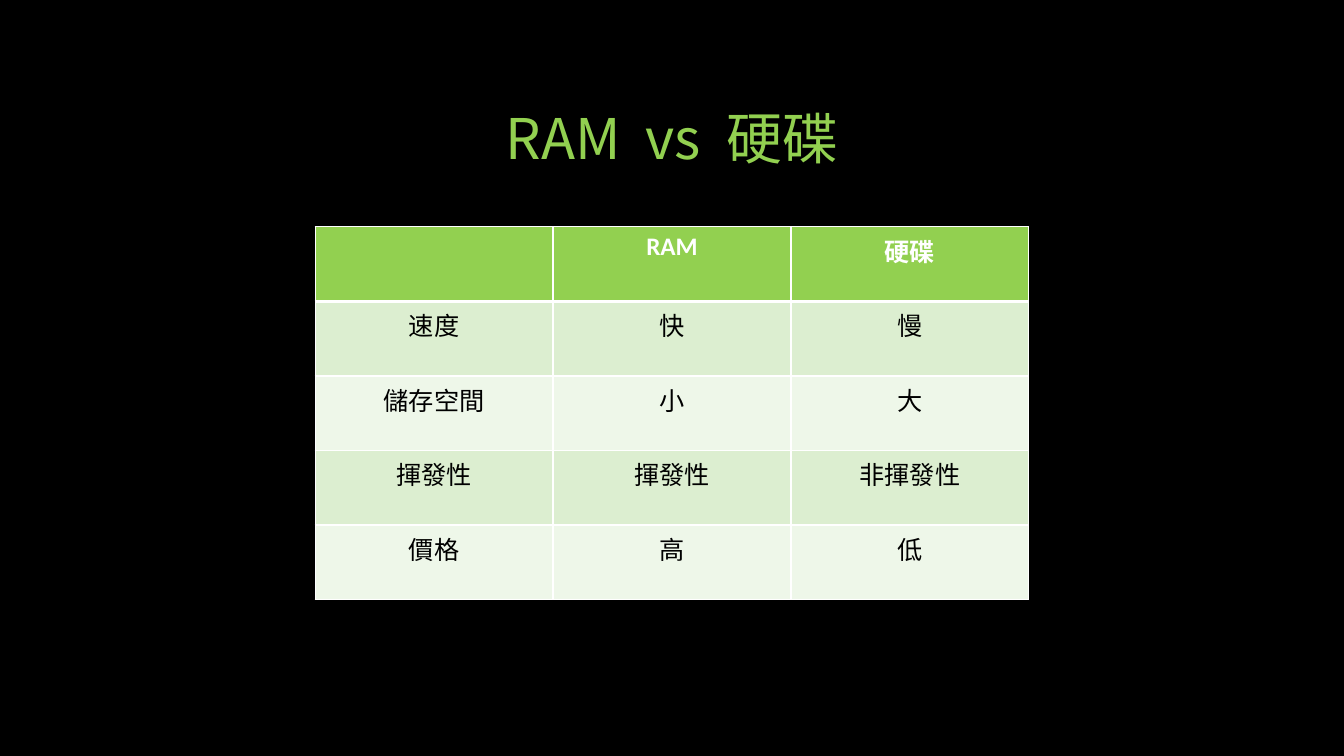
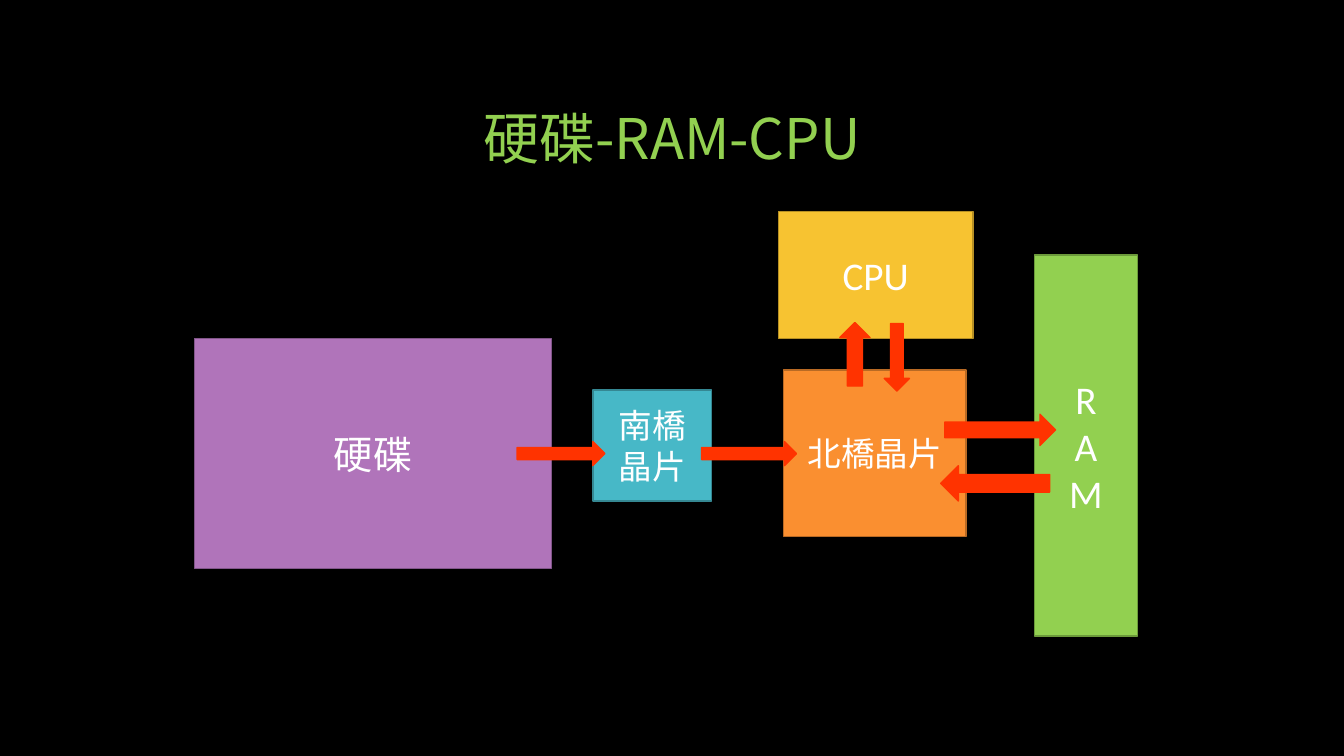
from lxml.etree import SubElement
from pptx import Presentation
from pptx.dml.color import RGBColor
from pptx.enum.shapes import MSO_SHAPE
from pptx.enum.text import MSO_ANCHOR, PP_ALIGN
from pptx.oxml.ns import qn
from pptx.util import Inches, Pt

BLACK = RGBColor(0x00, 0x00, 0x00)
WHITE = RGBColor(0xFF, 0xFF, 0xFF)
GREEN = RGBColor(0x92, 0xD0, 0x50)
BAND_DARK = RGBColor(0xDC, 0xEE, 0xD0)
BAND_LIGHT = RGBColor(0xEE, 0xF7, 0xE9)
RED = RGBColor(0xFF, 0x33, 0x00)
PURPLE = RGBColor(0xB0, 0x74, 0xBA)
PURPLE_EDGE = RGBColor(0x82, 0x56, 0x8A)
TEAL = RGBColor(0x47, 0xB8, 0xC7)
TEAL_EDGE = RGBColor(0x35, 0x88, 0x93)
ORANGE = RGBColor(0xFA, 0x8F, 0x30)
ORANGE_EDGE = RGBColor(0xB9, 0x6A, 0x24)
YELLOW = RGBColor(0xF7, 0xC3, 0x31)
YELLOW_EDGE = RGBColor(0xB7, 0x90, 0x24)
GREEN_EDGE = RGBColor(0x6C, 0x9A, 0x3B)

LATIN_FONT = "Calibri"
CHINESE_FONT = "Noto Sans CJK SC"

SLIDE_WIDTH, SLIDE_HEIGHT = 13.33, 7.5
TITLE_WIDTH, TITLE_HEIGHT, TITLE_TOP = 10, 1.25, 0.5

COMPARISON_TITLE = "RAM  vs  硬碟"
COMPARISON = [
    ("", "RAM", "硬碟"),
    ("速度", "快", "慢"),
    ("儲存空間", "小", "大"),
    ("揮發性", "揮發性", "非揮發性"),
    ("價格", "高", "低"),
]
TABLE_TOP, COLUMN_WIDTH, ROW_HEIGHT = 2.25, 2.36, 0.74

DATA_PATH_TITLE = "硬碟-RAM-CPU"
# lines, text size, fill, edge, (left, top, width, height)
COMPONENTS = [
    (["硬碟"], 28, PURPLE, PURPLE_EDGE, (1.93, 3.36, 3.54, 2.28)),
    (["南橋晶片"], 24, TEAL, TEAL_EDGE, (5.88, 3.87, 1.18, 1.1)),
    (["北橋晶片"], 24, ORANGE, ORANGE_EDGE, (7.77, 3.67, 1.81, 1.65)),
    (["CPU"], 28, YELLOW, YELLOW_EDGE, (7.72, 2.1, 1.93, 1.26)),
    (["R", "A", "M"], 28, GREEN, GREEN_EDGE, (10.26, 2.53, 1.02, 3.78)),
]
# arrow, (left, top, width, height)
TRANSFERS = [
    (MSO_SHAPE.RIGHT_ARROW, (5.13, 4.38, 0.87, 0.24)),
    (MSO_SHAPE.RIGHT_ARROW, (6.96, 4.38, 0.94, 0.24)),
    (MSO_SHAPE.DOWN_ARROW, (8.77, 3.21, 0.25, 0.67)),
    (MSO_SHAPE.UP_ARROW, (8.33, 3.2, 0.3, 0.63)),
    (MSO_SHAPE.RIGHT_ARROW, (9.37, 4.11, 1.1, 0.31)),
    (MSO_SHAPE.LEFT_ARROW, (9.33, 4.62, 1.08, 0.35)),
]


def write_lines(text_frame, lines, size, color, bold=False, latin=LATIN_FONT):
    """Write each line as a centred paragraph with one run."""
    for index, line in enumerate(lines):
        paragraph = text_frame.add_paragraph() if index else text_frame.paragraphs[0]
        paragraph.alignment = PP_ALIGN.CENTER
        run = paragraph.add_run()
        run.text = line
        font = run.font
        font.size, font.bold, font.name = Pt(size), bold, latin
        font.color.rgb = color
        SubElement(run._r.get_or_add_rPr(), qn("a:ea"), typeface=CHINESE_FONT)


def add_titled_slide(presentation, title_text):
    slide = presentation.slides.add_slide(presentation.slide_layouts[5])
    slide.background.fill.solid()
    slide.background.fill.fore_color.rgb = BLACK
    title = slide.shapes.title
    title.left, title.top = Inches((SLIDE_WIDTH - TITLE_WIDTH) / 2), Inches(TITLE_TOP)
    title.width, title.height = Inches(TITLE_WIDTH), Inches(TITLE_HEIGHT)
    title.text_frame.vertical_anchor = MSO_ANCHOR.BOTTOM
    write_lines(title.text_frame, [title_text], 40, GREEN, latin=CHINESE_FONT)
    title.text_frame.paragraphs[0].line_spacing = 0.9
    return slide


def set_cell_borders(cell, top, bottom):
    """Draw white borders; top and bottom are widths in points."""
    properties = cell._tc.get_or_add_tcPr()
    for side, width in (("L", 1), ("R", 1), ("T", top), ("B", bottom)):
        line = SubElement(properties, qn(f"a:ln{side}"), w=str(Pt(width)))
        fill = SubElement(line, qn("a:solidFill"))
        SubElement(fill, qn("a:srgbClr"), val=str(WHITE))


def add_comparison_table(slide):
    row_count, column_count = len(COMPARISON), len(COMPARISON[0])
    width = column_count * COLUMN_WIDTH
    table = slide.shapes.add_table(
        row_count, column_count,
        Inches((SLIDE_WIDTH - width) / 2), Inches(TABLE_TOP),
        Inches(width), Inches(row_count * ROW_HEIGHT),
    ).table
    for row, values in enumerate(COMPARISON):
        header = row == 0
        band = GREEN if header else BAND_DARK if row % 2 else BAND_LIGHT
        for column, value in enumerate(values):
            cell = table.cell(row, column)
            set_cell_borders(cell, 3 if row == 1 else 1, 3 if header else 1)
            cell.fill.solid()
            cell.fill.fore_color.rgb = band
            if value:
                write_lines(cell.text_frame, [value], 18, WHITE if header else BLACK, header)


def add_filled_shape(slide, preset, box, fill, edge):
    shape = slide.shapes.add_shape(preset, *(Inches(length) for length in box))
    shape.shadow.inherit = False
    shape.fill.solid()
    shape.fill.fore_color.rgb = fill
    shape.line.color.rgb = edge
    shape.line.width = Pt(1)
    return shape


def add_data_path(slide):
    for lines, size, fill, edge, box in COMPONENTS:
        component = add_filled_shape(slide, MSO_SHAPE.RECTANGLE, box, fill, edge)
        component.text_frame.word_wrap = True
        component.text_frame.vertical_anchor = MSO_ANCHOR.MIDDLE
        write_lines(component.text_frame, lines, size, WHITE)
    for arrow, box in TRANSFERS:
        add_filled_shape(slide, arrow, box, RED, RED)


def main():
    presentation = Presentation()
    presentation.slide_width = Inches(SLIDE_WIDTH)
    presentation.slide_height = Inches(SLIDE_HEIGHT)
    add_comparison_table(add_titled_slide(presentation, COMPARISON_TITLE))
    add_data_path(add_titled_slide(presentation, DATA_PATH_TITLE))
    presentation.save("out.pptx")


if __name__ == "__main__":
    main()
